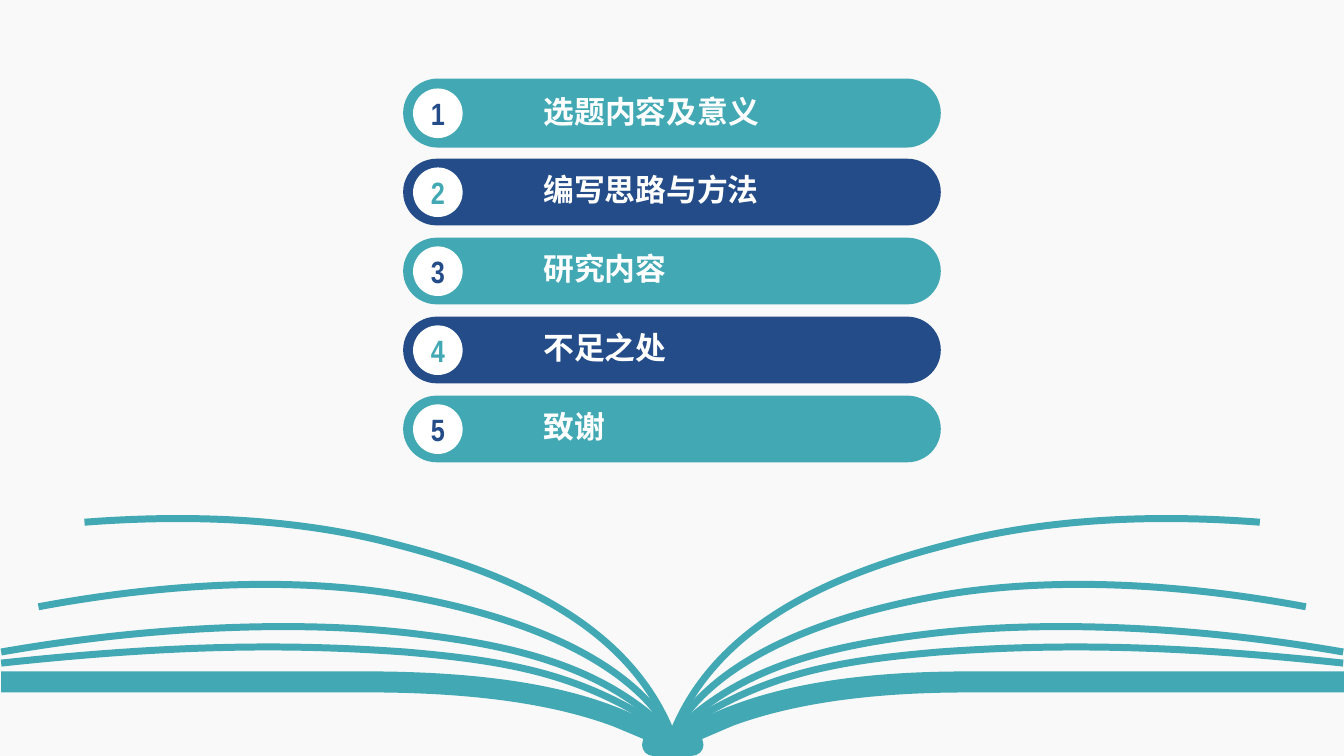
import pptx
import pptx.dml.color
import pptx.enum.shapes
import pptx.enum.text
import pptx.oxml
import pptx.oxml.ns
import pptx.util

Cm = pptx.util.Cm
qn = pptx.oxml.ns.qn
SHAPE = pptx.enum.shapes.MSO_SHAPE
MIDDLE = pptx.enum.text.MSO_ANCHOR.MIDDLE
ALIGN = pptx.enum.text.PP_ALIGN
TEAL, NAVY, WHITE = "42A9B4", "234C89", "FFFFFF"
WIDTH, HEIGHT = 33.87, 19.05


def paint(fill, color):
    fill.solid()
    fill.fore_color.rgb = pptx.dml.color.RGBColor.from_string(color)


def trace(shapes, start, segments, close):
    points = [seg[i:i + 2] for seg in segments for i in range(0, len(seg), 2)]
    builder = shapes.build_freeform(Cm(start[0]), Cm(start[1]))
    builder.add_line_segments([(Cm(x), Cm(y)) for x, y in points], close=close)
    sp = builder.convert_to_shape()
    sp.shadow.inherit = False
    steps = iter(list(sp._element.iter(qn("a:lnTo"))))
    for seg in segments:
        step = next(steps)
        if len(seg) == 6:
            step.tag = qn("a:cubicBezTo")
            for extra in (next(steps), next(steps)):
                step.append(extra[0])
                extra.getparent().remove(extra)
    return sp


prs = pptx.Presentation()
prs.slide_width, prs.slide_height = Cm(WIDTH), Cm(HEIGHT)
s = prs.slides.add_slide(prs.slide_layouts[6])
backdrop = s.shapes.add_shape(SHAPE.RECTANGLE, 0, 0, Cm(WIDTH), Cm(HEIGHT))
backdrop.shadow.inherit = False
paint(backdrop.fill, "F9F9F9")
backdrop.line.fill.background()

spine = (16.94, 18.52)
pages = [
    [(15.37, 16.92, 13.34, 16.33, 10.69, 16.0), (8.2, 15.67, 4.39, 15.67, 0.03, 16.43)],
    [(14.76, 16.99, 12.88, 16.66, 10.21, 16.43), (7.14, 16.21, 4.24, 16.26, 0.03, 16.71)],
    [(15.8, 16.41, 12.55, 15.37, 9.78, 14.94), (7.34, 14.58, 4.37, 14.66, 0.97, 15.29)],
    [(15.85, 15.72, 12.83, 14.45, 9.98, 13.72), (7.59, 13.08, 4.88, 12.95, 2.13, 13.16)],
]
for page in pages:
    mirrored = [[v if i % 2 else 2 * spine[0] - v for i, v in enumerate(seg)] for seg in page]
    for side in (page, mirrored):
        sp = trace(s.shapes, spine, side, False)
        sp.fill.background()
        paint(sp.line.fill, TEAL)
        sp.line.width = pptx.util.Pt(5)

cover = [
    (8.79, 16.92), (12.17, 16.89, 14.55, 17.27, 16.26, 18.14),
    (16.79, 18.44), (17.12, 18.44), (17.68, 18.11),
    (19.46, 17.22, 21.82, 16.92, 24.36, 16.92),
    (WIDTH, 16.92), (WIDTH, 17.45), (24.36, 17.45),
    (22.17, 17.45, 20.12, 17.68, 18.47, 18.29),
    (17.7, 18.62), (17.73, 18.77), (17.73, 18.92, 17.6, HEIGHT, 17.42, HEIGHT),
    (16.46, HEIGHT), (16.31, HEIGHT, 16.18, 18.92, 16.18, 18.77),
    (16.21, 18.62), (15.47, 18.31),
    (13.84, 17.7, 11.68, 17.42, 8.79, 17.45), (0.03, 17.45),
]
sp = trace(s.shapes, (0.03, 16.92), cover, True)
paint(sp.fill, TEAL)
sp.line.fill.background()

topics = ["选题内容及意义", "编写思路与方法", "研究内容", "不足之处", "致谢"]
pitch = 1.99
for i, topic in enumerate(topics):
    bar_color, digit_color = (NAVY, TEAL) if i % 2 else (TEAL, NAVY)
    top, height = (2.01 + i * pitch, 1.68) if i else (1.98, 1.74)
    bar = s.shapes.add_shape(SHAPE.ROUNDED_RECTANGLE, Cm(10.16), Cm(top), Cm(13.55), Cm(height))
    bar.adjustments[0] = 0.5
    badge = s.shapes.add_shape(SHAPE.OVAL, Cm(10.41), Cm(2.23 + i * pitch), Cm(1.25), Cm(1.25))
    for sp, text, fill, color, face, align in (
        (bar, topic, bar_color, WHITE, "Noto Sans CJK SC", ALIGN.LEFT),
        (badge, str(i + 1), WHITE, digit_color, "Arial Narrow", ALIGN.CENTER),
    ):
        sp.shadow.inherit = False
        paint(sp.fill, fill)
        sp.line.fill.background()
        tf = sp.text_frame
        tf.vertical_anchor = MIDDLE
        p = tf.paragraphs[0]
        p.alignment = align
        r = p.add_run()
        r.text = text
        for name, value in {"size": pptx.util.Pt(22), "bold": True, "name": face}.items():
            setattr(r.font, name, value)
        paint(r.font.fill, color)
        ea = pptx.oxml.parse_xml(
            '<a:ea xmlns:a="http://schemas.openxmlformats.org/drawingml/2006/main" typeface="%s"/>' % face)
        r.font._element.append(ea)
    tf = bar.text_frame
    tf.word_wrap = False
    tf.margin_left = Cm(0.79)
    p = tf.paragraphs[0]
    p.line_spacing = 0.9
    p._p.get_or_add_pPr().set("marL", str(Cm(2.5)))

prs.save("out.pptx")
